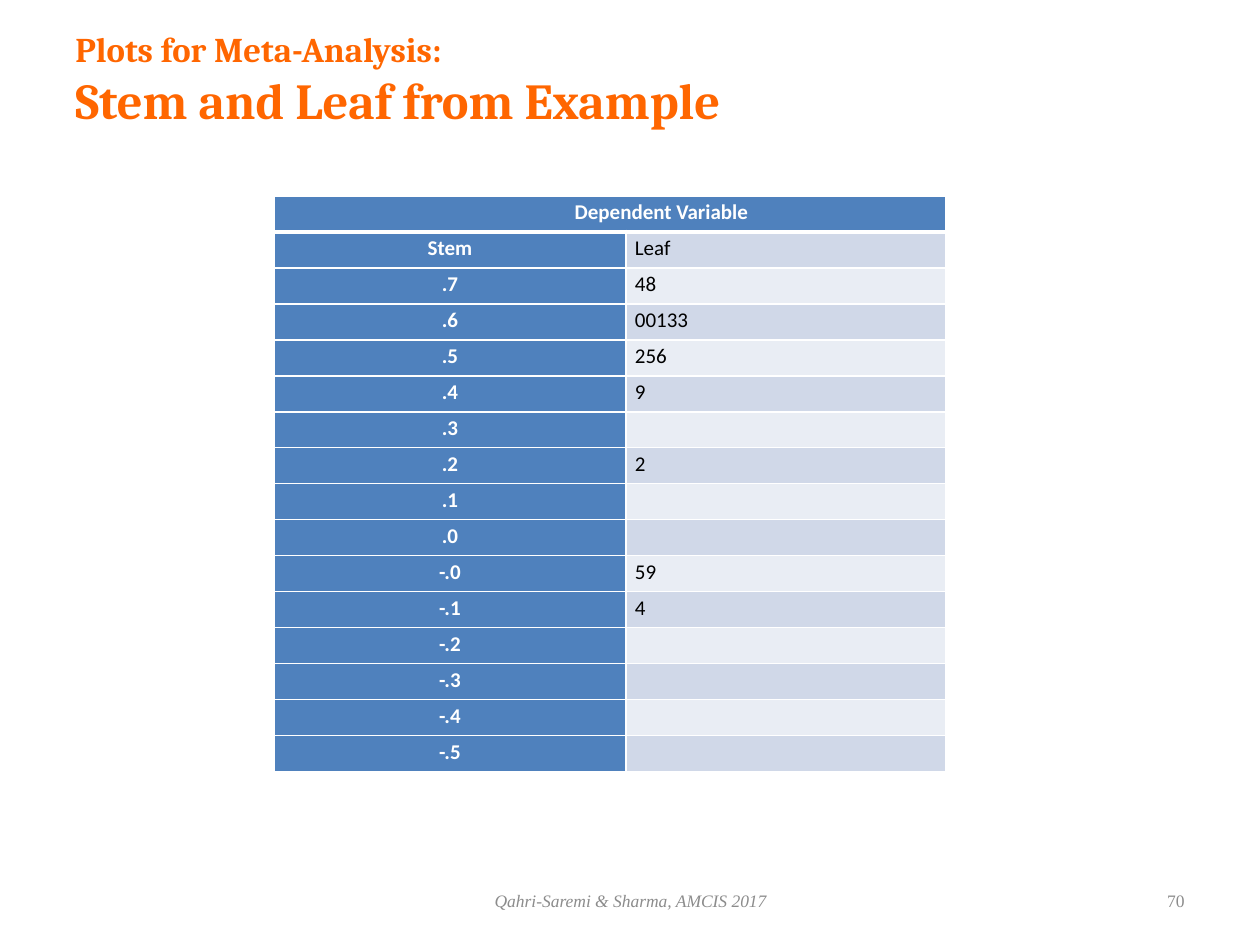
import pptx
import pptx.util
import pptx.dml.color
import pptx.enum.text
import pptx.oxml
import pptx.oxml.ns
import lxml.etree

PIXEL = 914400 // 126
ALIGN = pptx.enum.text.PP_ALIGN
MIDDLE = pptx.enum.text.MSO_ANCHOR.MIDDLE
ORANGE, GREY, WHITE, BLACK = "FF6600", "8C8C8C", "FFFFFF", "000000"
BLUE, BANDS = "4F81BD", ("E9EDF4", "D0D8E8")
ROW_HEIGHT = 36
STEMS = [
    ("Stem", "Leaf"), (".7", "48"), (".6", "00133"), (".5", "256"),
    (".4", "9"), (".3", ""), (".2", "2"), (".1", ""), (".0", ""),
    ("-.0", "59"), ("-.1", "4"), ("-.2", ""), ("-.3", ""),
    ("-.4", ""), ("-.5", ""),
]


def px(length):
    return pptx.util.Emu(length * PIXEL)


def color(value):
    return pptx.dml.color.RGBColor.from_string(value)


def style(span, font, size, fill, bold=False, italic=False):
    span.font.name = font
    span.font.size = pptx.util.Pt(size)
    span.font.color.rgb = color(fill)
    span.font.bold = bold
    span.font.italic = italic


def add_text(page, place, text, font, sizes, fill, align=ALIGN.LEFT, **look):
    box = page.shapes.add_textbox(*map(px, place))
    frame = box.text_frame
    frame.word_wrap = True
    frame.vertical_anchor = MIDDLE
    frame.text = text
    para = frame.paragraphs[0]
    para.alignment = align
    for span, size in zip(para.runs, sizes):
        style(span, font, size, fill, **look)


def set_borders(cell, bottom):
    props = cell._tc.get_or_add_tcPr()
    widths = {"a:lnL": 1, "a:lnR": 1, "a:lnT": 1, "a:lnB": bottom}
    for index, (tag, width) in enumerate(widths.items()):
        line = pptx.oxml.parse_xml(
            f'<{tag} {pptx.oxml.ns.nsdecls("a")} w="{pptx.util.Pt(width)}">'
            f'<a:solidFill><a:srgbClr val="{WHITE}"/></a:solidFill></{tag}>')
        props.insert(index, line)


def fill_cell(cell, text, fill, heading, bottom=1, indent=9):
    cell.margin_left, cell.margin_right = px(indent), px(9)
    cell.margin_top = cell.margin_bottom = 0
    cell.fill.solid()
    cell.fill.fore_color.rgb = color(fill)
    set_borders(cell, bottom)
    para = cell.text_frame.paragraphs[0]
    para.line_spacing = 1.15
    para.alignment = ALIGN.CENTER if heading else ALIGN.LEFT
    if text:
        para.text = text
        style(para.runs[0], "Calibri", 12, WHITE if heading else BLACK, heading)
    else:
        # Keeps an empty cell from stretching its row
        end = lxml.etree.SubElement(para._p, pptx.oxml.ns.qn("a:endParaRPr"))
        end.set("sz", "1200")


def add_stem_table(page):
    count = len(STEMS) + 1
    table = page.shapes.add_table(
        count, 2, px(274), px(196), px(672), px(count * ROW_HEIGHT)).table
    for column, width in zip(table.columns, (352, 320)):
        column.width = px(width)
    for row in table.rows:
        row.height = px(ROW_HEIGHT)

    # Header across both columns, its text shifted right
    header, covered = table.cell(0, 0), table.cell(0, 1)
    fill_cell(covered, "", BLUE, True, bottom=3)
    header.merge(covered)
    fill_cell(header, "Dependent Variable", BLUE, True, bottom=3, indent=112)

    # Stems with banded leaves
    for index, (stem, leaf) in enumerate(STEMS, start=1):
        fill_cell(table.cell(index, 0), stem, BLUE, True)
        fill_cell(table.cell(index, 1), leaf, BANDS[index % 2], False)


def main():
    deck = pptx.Presentation()
    deck.slide_width, deck.slide_height = px(1260), px(945)
    page = deck.slides.add_slide(deck.slide_layouts[6])

    # Title
    add_text(page, (63, 20, 1134, 117),
             "Plots for Meta-Analysis:\vStem and Leaf from Example",
             "Cambria", (19.8, 28.8), ORANGE, bold=True)

    # Table
    add_stem_table(page)

    # Footer and page number
    add_text(page, (431, 876, 399, 50), "Qahri-Saremi & Sharma, AMCIS 2017",
             "Times New Roman", (10,), GREY, ALIGN.CENTER, italic=True)
    add_text(page, (903, 876, 294, 50), "70",
             "Times New Roman", (10,), GREY, ALIGN.RIGHT)

    deck.save("out.pptx")


main()
